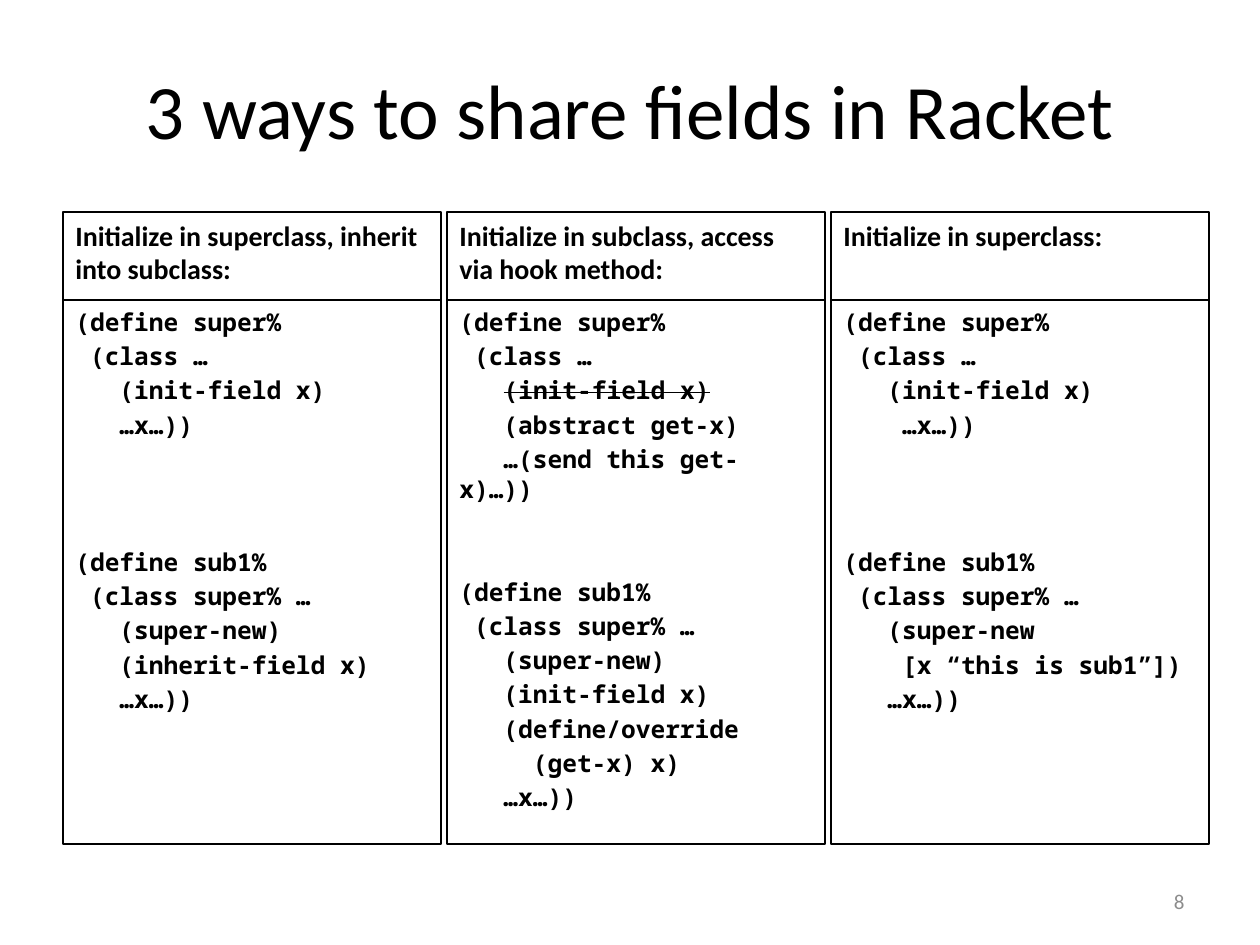
from pptx import Presentation
from pptx.dml.color import RGBColor
from pptx.enum.shapes import MSO_SHAPE
from pptx.enum.text import MSO_ANCHOR, PP_ALIGN
from pptx.util import Emu, Pt

RECTANGLE = MSO_SHAPE.RECTANGLE
TOP, MIDDLE = MSO_ANCHOR.TOP, MSO_ANCHOR.MIDDLE
LEFT, CENTER, RIGHT = PP_ALIGN.LEFT, PP_ALIGN.CENTER, PP_ALIGN.RIGHT

BLACK = RGBColor(0x00, 0x00, 0x00)
GRAY = RGBColor(0x8C, 0x8C, 0x8C)
TEXT_FONT, CODE_FONT = "Calibri", "Noto Sans Mono"

PX_PER_INCH = 126
CODE_LINE, CODE_SPACE = 17.1, 2.5  # line height and space between lines, points

# Column grid
COLUMN_LEFT, COLUMN_PITCH, COLUMN_WIDTH = 63, 384, 378
HEADER_TOP, HEADER_HEIGHT = 212, 88
CODE_TOP, CODE_HEIGHT = HEADER_TOP + HEADER_HEIGHT, 544

STRUCK_FIELD = (1, "(init-field x)")  # column index and the text struck out

# Heading, superclass code, lines skipped, subclass code
COLUMNS = [
    ("Initialize in superclass, inherit into subclass:",
     ["(define super%", " (class …", "   (init-field x)", "   …x…))"],
     3,
     ["(define sub1%", " (class super% …", "   (super-new)",
      "   (inherit-field x)", "   …x…))"]),
    ("Initialize in subclass, access via hook method:",
     ["(define super%", " (class …", "   (init-field x)",
      "   (abstract get-x)", "   …(send this get-x)…))"],
     2,
     ["(define sub1%", " (class super% …", "   (super-new)",
      "   (init-field x)", "   (define/override", "     (get-x) x)",
      "   …x…))"]),
    ("Initialize in superclass:",
     ["(define super%", " (class …", "   (init-field x)", "    …x…))"],
     3,
     ["(define sub1%", " (class super% …", "   (super-new",
      "    [x “this is sub1”])", "   …x…))"]),
]


def px(length):
    return Emu(round(length * 914400 / PX_PER_INCH))


def format_paragraph(paragraph, size, font=TEXT_FONT, color=BLACK,
                     bold=False, align=LEFT):
    paragraph.alignment = align
    paragraph.font.size = Pt(size)
    paragraph.font.name = font
    paragraph.font.bold = bold
    paragraph.font.color.rgb = color


def add_title(slide, text):
    title = slide.shapes.title
    title.left, title.top, title.width, title.height = map(px, (63, 30, 1134, 158))
    title.text_frame.text = text
    title.text_frame.vertical_anchor = MIDDLE
    format_paragraph(title.text_frame.paragraphs[0], 44, align=CENTER)


def add_box(slide, left, top, width, height):
    """Add an outlined rectangle and return its text frame."""
    box = slide.shapes.add_shape(RECTANGLE, px(left), px(top), px(width), px(height))
    box.shadow.inherit = False
    box.fill.background()
    box.line.color.rgb = BLACK
    box.line.width = Pt(0.75)
    box.text_frame.word_wrap = True
    box.text_frame.vertical_anchor = TOP
    return box.text_frame


def add_heading(slide, left, text):
    frame = add_box(slide, left, HEADER_TOP, COLUMN_WIDTH, HEADER_HEIGHT)
    frame.text = text
    format_paragraph(frame.paragraphs[0], 16, bold=True)


def add_code_line(paragraph, line, struck):
    """Write one line; strike out the given text if it ends the line."""
    if struck and line.endswith(struck):
        paragraph.add_run().text = line.removesuffix(struck)
        run = paragraph.add_run()
        run.text = struck
        run.font._element.set("strike", "sngStrike")
    else:
        paragraph.add_run().text = line
    format_paragraph(paragraph, 14, CODE_FONT, bold=True)
    paragraph.line_spacing = Pt(CODE_LINE)


def add_code(slide, left, superclass, skipped, subclass, struck):
    frame = add_box(slide, left, CODE_TOP, COLUMN_WIDTH, CODE_HEIGHT)
    gap = CODE_SPACE + skipped * (CODE_LINE + CODE_SPACE)
    for index, line in enumerate(superclass + subclass):
        paragraph = frame.add_paragraph() if index else frame.paragraphs[0]
        # Only the superclass field is struck out
        add_code_line(paragraph, line, struck if index < len(superclass) else None)
        if index:
            starts_subclass = index == len(superclass)
            paragraph.space_before = Pt(gap if starts_subclass else CODE_SPACE)


def add_slide_number(slide, number):
    box = slide.shapes.add_textbox(px(903), px(876), px(294), px(50))
    frame = box.text_frame
    frame.word_wrap = True
    frame.vertical_anchor = MIDDLE
    frame.text = number
    format_paragraph(frame.paragraphs[0], 12, color=GRAY, align=RIGHT)


def main():
    presentation = Presentation()
    presentation.slide_width, presentation.slide_height = px(1260), px(945)
    slide = presentation.slides.add_slide(presentation.slide_layouts[5])

    add_title(slide, "3 ways to share fields in Racket")

    # One heading and one code box per approach
    struck_column, struck_text = STRUCK_FIELD
    for index, (heading, superclass, skipped, subclass) in enumerate(COLUMNS):
        left = COLUMN_LEFT + index * COLUMN_PITCH
        struck = struck_text if index == struck_column else None
        add_heading(slide, left, heading)
        add_code(slide, left, superclass, skipped, subclass, struck)

    add_slide_number(slide, "8")
    presentation.save("out.pptx")


if __name__ == "__main__":
    main()
